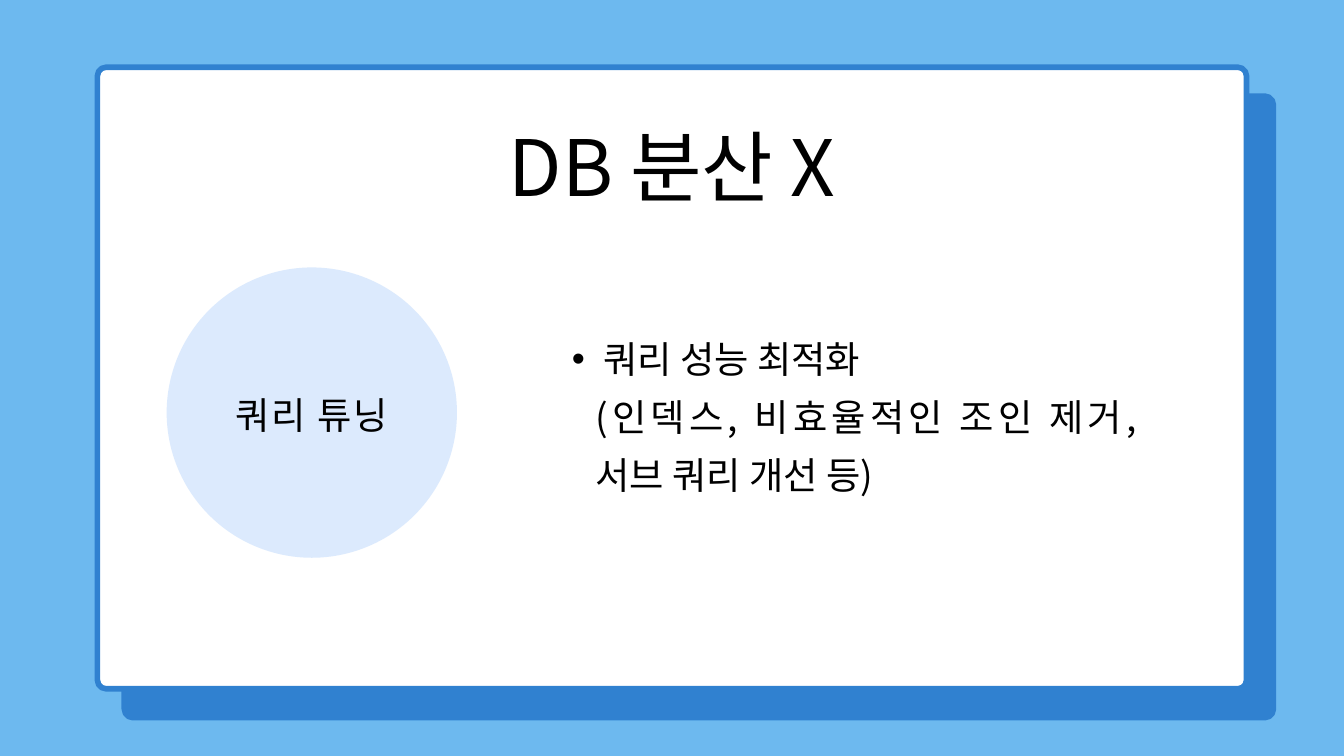
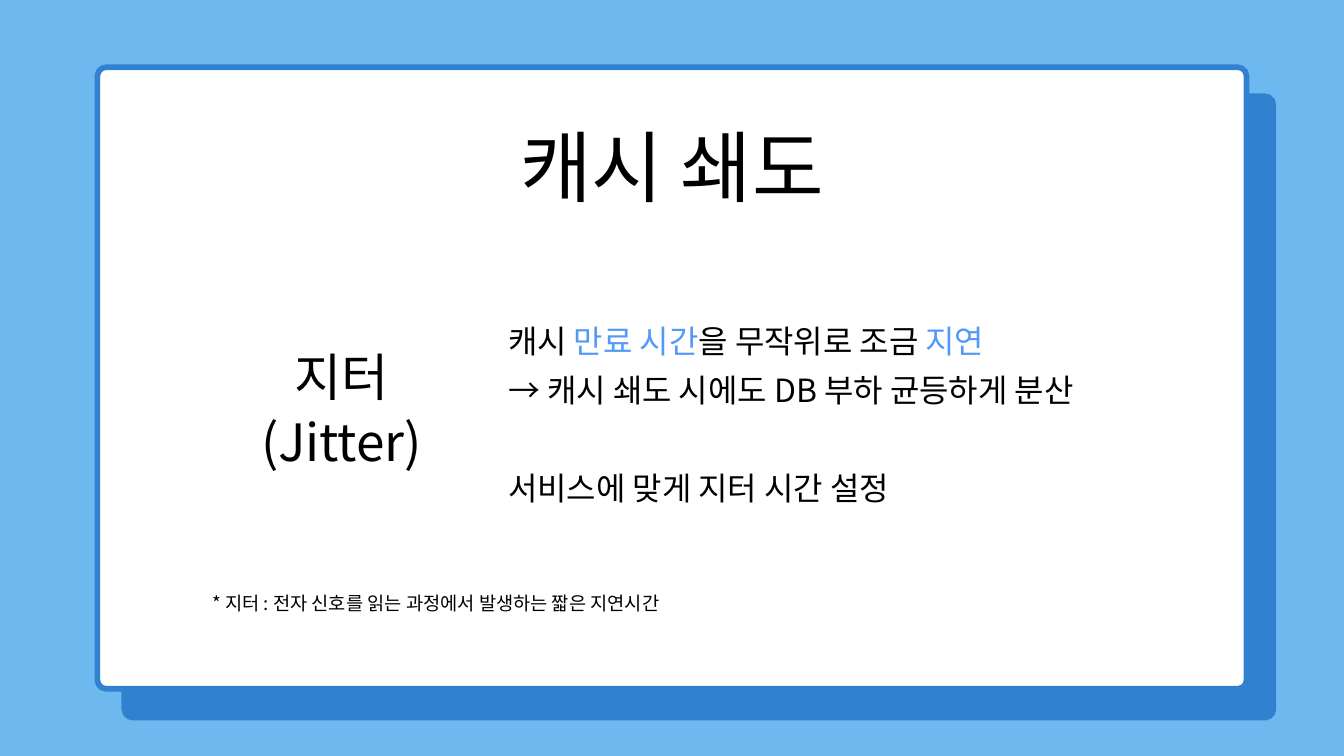
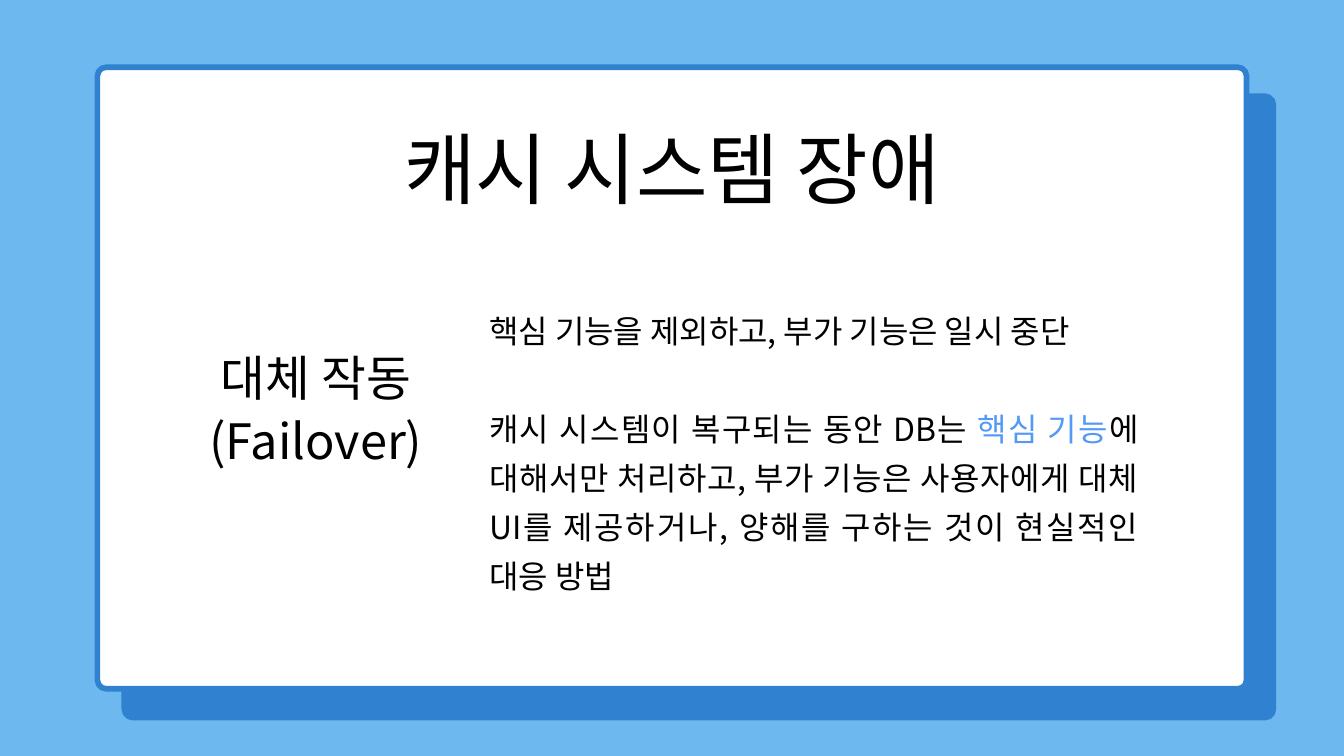
from lxml import etree
from pptx import Presentation
from pptx.dml.color import RGBColor as RGB
from pptx.enum.shapes import MSO_SHAPE as SHAPE
from pptx.enum.text import MSO_AUTO_SIZE as AUTO, PP_ALIGN as ALIGN
from pptx.oxml.ns import qn
from pptx.util import Inches, Pt

COLORS = {"sky": "6DB9EF", "blue": "3081D0", "white": "FFFFFF",
          "accent": "5499F6", "black": "000000"}
FONT = "Noto Sans CJK KR"
CARD_SIZE = (17.1, 9.25)
CARD_RADIUS = 0.13


class Deck:
    """Holds the shared style and the slide being built."""

    def __init__(self):
        self.prs = Presentation()
        self.prs.slide_width, self.prs.slide_height = Inches(20), Inches(11.25)
        self.slide = None

    def color(self, name):
        return RGB.from_string(COLORS[name])

    def new_slide(self, title, title_y=1.68):
        """Sky background, white card over its offset backing, and title."""
        self.slide = self.prs.slides.add_slide(self.prs.slide_layouts[6])
        fill = self.slide.background.fill
        fill.solid()
        fill.fore_color.rgb = self.color("sky")
        self.card(1.85, 1.43, "blue")
        self.card(1.45, 1, "white")
        self.text(5, title_y, 10, 1.45, [title], size=83.3, leading=106.6)

    def shape(self, kind, x, y, w, h, fill):
        sp = self.slide.shapes.add_shape(kind, *map(Inches, (x, y, w, h)))
        sp.shadow.inherit = False
        sp.fill.solid()
        sp.fill.fore_color.rgb = self.color(fill)
        sp.line.fill.background()
        return sp

    def card(self, x, y, fill):
        sp = self.shape(SHAPE.ROUNDED_RECTANGLE, x, y, *CARD_SIZE, fill)
        sp.adjustments[0] = CARD_RADIUS / CARD_SIZE[1]
        sp.line.color.rgb = self.color("blue")
        sp.line.width = Pt(6)

    def circle(self, x, y, d, fill, opacity):
        sp = self.shape(SHAPE.OVAL, x, y, d, d, fill)
        clr = sp.fill._xPr.find(".//" + qn("a:srgbClr"))
        etree.SubElement(clr, qn("a:alpha")).set("val", str(opacity * 1000))

    def text(self, x, y, w, h, paragraphs, size=34.2, leading=52.6,
             align=ALIGN.CENTER, spacing=0, bullet=False):
        """Each paragraph is a string or a list of (text, colour) runs."""
        box = self.slide.shapes.add_textbox(*map(Inches, (x, y, w, h)))
        tf = box.text_frame
        frame_format = {"word_wrap": True, "auto_size": AUTO.SHAPE_TO_FIT_TEXT,
                        "margin_left": 0, "margin_right": 0,
                        "margin_top": 0, "margin_bottom": 0}
        for name, value in frame_format.items():
            setattr(tf, name, value)
        for i, runs in enumerate(paragraphs):
            p = tf.add_paragraph() if i else tf.paragraphs[0]
            p.alignment, p.line_spacing = align, Pt(leading)
            if bullet:
                self.bullet(p)
            if isinstance(runs, str):
                runs = [(runs, "black")]
            for words, color in runs:
                self.run(p, words, color, size, spacing)

    def run(self, p, words, color, size, spacing):
        r = p.add_run()
        r.text = words
        for name, value in {"name": FONT, "size": Pt(size)}.items():
            setattr(r.font, name, value)
        r.font.color.rgb = self.color(color)
        rPr = r._r.get_or_add_rPr()
        etree.SubElement(rPr, qn("a:ea")).set("typeface", FONT)
        if spacing:
            rPr.set("spc", str(spacing * 100))

    def bullet(self, p):
        p.level = 1
        pPr = p._p.get_or_add_pPr()
        pPr.set("marL", str(Inches(0.94)))
        pPr.set("indent", str(Inches(-0.47)))
        etree.SubElement(pPr, qn("a:buFont")).set("typeface", "Arial")
        etree.SubElement(pPr, qn("a:buChar")).set("char", "•")

    def body(self, x, y, w, h, paragraphs, **style):
        self.text(x, y, w, h, paragraphs, align=ALIGN.JUSTIFY, **style)


def main():
    deck = Deck()

    # Query tuning without splitting the database
    deck.new_slide("DB 분산 X")
    deck.circle(2.48, 3.98, 4.32, "accent", 20)
    deck.text(3.2, 5.78, 2.88, 0.69, ["쿼리 튜닝"], size=40, leading=52, spacing=2)
    point = {"size": 40, "leading": 61.6}
    deck.body(8.04, 4.82, 9.06, 0.8, ["쿼리 성능 최적화 "], bullet=True, **point)
    deck.body(8.86, 5.68, 8.06, 1.65,
              ["(인덱스, 비효율적인 조인 제거, 서브 쿼리 개선 등)"], **point)

    # Cache stampede and jitter
    deck.new_slide("캐시 쇄도")
    deck.body(7.56, 4.63, 9.11, 1.42, [
        [("캐시 ", "black"), ("만료 시간", "accent"),
         ("을 무작위로 조금 ", "black"), ("지연 ", "accent")],
        "→ 캐시 쇄도 시에도 DB 부하 균등하게 분산"])
    deck.text(3.51, 5.07, 3.16, 1.93, ["지터", "(Jitter)"], size=55, leading=70.4)
    deck.text(2.45, 8.79, 8.01, 0.35,
              [" * 지터 : 전자 신호를 읽는 과정에서 발생하는 짧은 지연시간"],
              size=20, leading=25.6)
    deck.body(7.56, 6.81, 9.11, 0.69, ["서비스에 맞게 지터 시간 설정"])

    # Cache system failure and failover
    deck.new_slide("캐시 시스템 장애", title_y=1.7)
    deck.text(2.37, 5.12, 4.66, 1.82, ["대체 작동", "(Failover)"],
              size=52.2, leading=66.8)
    deck.body(7.28, 4.47, 9.66, 0.69, ["핵심 기능을 제외하고, 부가 기능은 일시 중단"])
    deck.body(7.28, 5.93, 9.66, 2.88, [
        [("캐시 시스템이 복구되는 동안 DB는 ", "black"), ("핵심 기능", "accent"),
         ("에 대해서만 처리하고, 부가 기능은 사용자에게 대체 UI를 제공하거나, "
          "양해를 구하는 것이 현실적인 대응 방법", "black")]])

    deck.prs.save("out.pptx")


if __name__ == "__main__":
    main()
